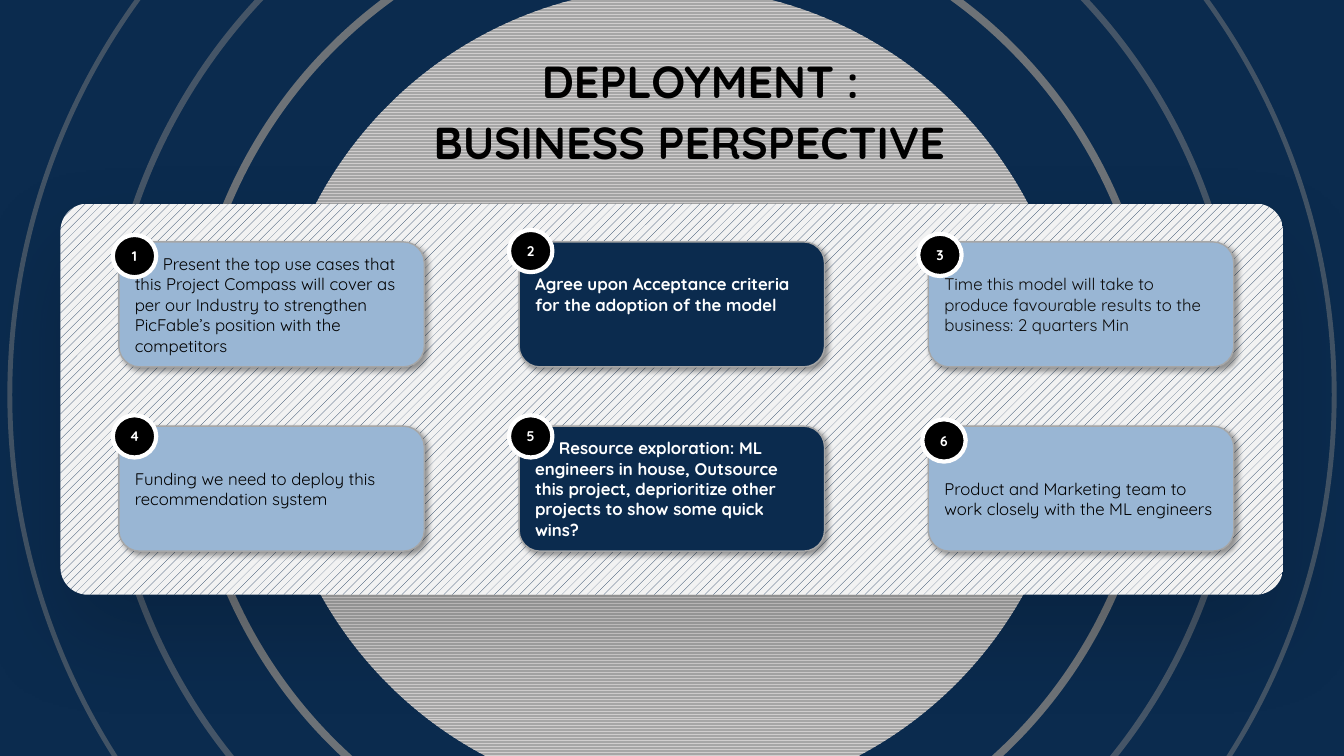
from lxml import etree
from pptx import Presentation
from pptx.dml.color import RGBColor
from pptx.enum.dml import MSO_PATTERN
from pptx.enum.shapes import MSO_SHAPE
from pptx.enum.text import MSO_ANCHOR, MSO_AUTO_SIZE, PP_ALIGN
from pptx.oxml.ns import qn
from pptx.util import Pt

OVAL, ROUNDED = MSO_SHAPE.OVAL, MSO_SHAPE.ROUNDED_RECTANGLE
ZIG_ZAG, DOTS = MSO_PATTERN.ZIG_ZAG, MSO_PATTERN.PERCENT_20
MIDDLE, BOTTOM = MSO_ANCHOR.MIDDLE, MSO_ANCHOR.BOTTOM
LEFT, CENTER = PP_ALIGN.LEFT, PP_ALIGN.CENTER
GROW = MSO_AUTO_SIZE.SHAPE_TO_FIT_TEXT

COLORS = {
    "navy": "0B2B4E", "sky": "99B6D4", "paper": "F2F2F2", "silver": "D0CECE",
    "edge": "A6A6A6", "ring": "808080", "black": "000000", "ink": "0D0D0D",
    "white": "FFFFFF",
}


def rgb(name):
    return RGBColor.from_string(COLORS[name])


class Deck:
    font_name = "Quicksand"

    def __init__(self, width, height):
        self.prs = Presentation()
        self.prs.slide_width, self.prs.slide_height = Pt(width), Pt(height)
        self.slide = self.prs.slides.add_slide(self.prs.slide_layouts[6])

    def background(self, color):
        fill = self.slide.background.fill
        fill.solid()
        fill.fore_color.rgb = rgb(color)

    def shape(self, kind, box, fill=None, pattern=None, line=None, opacity=None):
        item = self.slide.shapes.add_shape(kind, *map(Pt, box))
        item.shadow.inherit = False
        if pattern:
            item.fill.patterned()
            item.fill.pattern, fore, back = pattern
            item.fill.fore_color.rgb, item.fill.back_color.rgb = rgb(fore), rgb(back)
        elif fill:
            item.fill.solid()
            item.fill.fore_color.rgb = rgb(fill)
        else:
            item.fill.background()
        if line:
            color, width = line
            item.line.color.rgb, item.line.width = rgb(color), Pt(width)
            if opacity:
                tint = item.line._get_or_add_ln().find(".//" + qn("a:srgbClr"))
                etree.SubElement(tint, qn("a:alpha"), val=str(opacity * 1000))
        else:
            item.line.fill.background()
        return item

    def shadow(self, item, opacity, blur, distance, angle):
        effects = item._element.spPr.find(qn("a:effectLst"))
        outer = etree.SubElement(
            effects, qn("a:outerShdw"), blurRad=str(Pt(blur)), dist=str(Pt(distance)),
            dir=str(angle * 60000), algn="ctr", rotWithShape="0")
        tint = etree.SubElement(outer, qn("a:srgbClr"), val=COLORS["black"])
        etree.SubElement(tint, qn("a:alpha"), val=str(opacity * 1000))

    def set_text(self, item, text, size, color, bold=False, align=LEFT, anchor=MIDDLE,
                 spacing=None, indent=0, frame_format=None):
        frame = item.text_frame
        settings = {"word_wrap": True, "vertical_anchor": anchor, **(frame_format or {})}
        for key, value in settings.items():
            setattr(frame, key, value)
        paragraph = frame.paragraphs[0]
        paragraph.alignment = align
        if spacing:
            paragraph.line_spacing = Pt(spacing)
        if indent:
            paragraph._p.get_or_add_pPr().set("indent", str(Pt(indent)))
        run = paragraph.add_run()
        run.text = text
        for key, value in {"name": self.font_name, "size": Pt(size), "bold": bold}.items():
            setattr(run.font, key, value)
        run.font.color.rgb = rgb(color)

    def title(self, box, text):
        item = self.slide.shapes.add_textbox(*map(Pt, box))
        self.set_text(item, text, 32, "black", True, CENTER, BOTTOM, 14,
                      frame_format={"auto_size": GROW})

    def card(self, box, text, fill, color, bold=False, **layout):
        item = self.shape(ROUNDED, box, fill, line=("edge", 1))
        self.shadow(item, 40, 4, 3, 45)
        self.set_text(item, text, 12, color, bold, **layout)

    def badge(self, left, top, number):
        item = self.shape(OVAL, (left, top, 31, 30.2), "black", line=("white", 3))
        sides = ("left", "top", "right", "bottom")
        self.set_text(item, str(number), 10, "white", True, CENTER,
                      frame_format={f"margin_{side}": 0 for side in sides})


def centred(width, height, x=480, y=282):
    return x - width / 2, y - height / 2, width, height


def main():
    deck = Deck(960, 540)
    deck.background("navy")

    # Disc and rings
    deck.shape(OVAL, centred(576, 582), pattern=(ZIG_ZAG, "silver", "edge"))
    for width, height, weight, opacity in (
            (946, 955.5, 3.5, 48), (812, 821, 4.5, 49), (690.5, 698, 5.5, 83)):
        deck.shape(OVAL, centred(width, height), line=("ring", weight), opacity=opacity)

    # Panel
    panel = deck.shape(ROUNDED, (43.2, 145.4, 873.4, 279.4), pattern=(DOTS, "navy", "paper"))
    panel.adjustments[0] = 0.07
    deck.shadow(panel, 15, 66, 30, 90)

    # Title
    deck.title((253.4, 55.4, 494, 25.2), "DEPLOYMENT :")
    deck.title((245.5, 98.6, 494, 25.2), "BUSINESS PERSPECTIVE")

    # Numbered cards: text, text colour, layout, badge position
    columns, rows = (84.9, 370.8, 663.1), (172.8, 304.4)
    line, inset = 14.6, 3.6
    cards = [
        ("Present the top use cases that this Project Compass will cover as per our "
         "Industry to strengthen PicFable’s position with the competitors",
         "black", {"spacing": line, "indent": 20}, (80.6, 167.8)),
        ("Agree upon Acceptance criteria for the adoption of the model",
         "white", {"spacing": line, "frame_format": {"margin_bottom": Pt(inset + line)}},
         (363.6, 164.2)),
        ("Time this model will take to produce favourable results to the business: "
         "2 quarters Min", "ink", {}, (655.9, 167)),
        ("Funding we need to deploy this recommendation system",
         "black", {"spacing": line}, (80.6, 296.6)),
        ("Resource exploration: ML engineers in house, Outsource this project, "
         "deprioritize other projects to show some quick wins?",
         "white", {"spacing": line, "indent": 17}, (363.6, 296.6)),
        ("Product and Marketing team to work closely with the ML engineers",
         "black", {"spacing": line, "frame_format": {"margin_top": Pt(inset + line)}},
         (658.8, 299.5)),
    ]
    for index, (text, color, layout, badge_at) in enumerate(cards):
        row, column = divmod(index, len(columns))
        highlighted = column == 1
        deck.card((columns[column], rows[row], 218.2, 89.3), text,
                  "navy" if highlighted else "sky", color, highlighted, **layout)
        deck.badge(*badge_at, index + 1)

    deck.prs.save("out.pptx")


if __name__ == "__main__":
    main()
